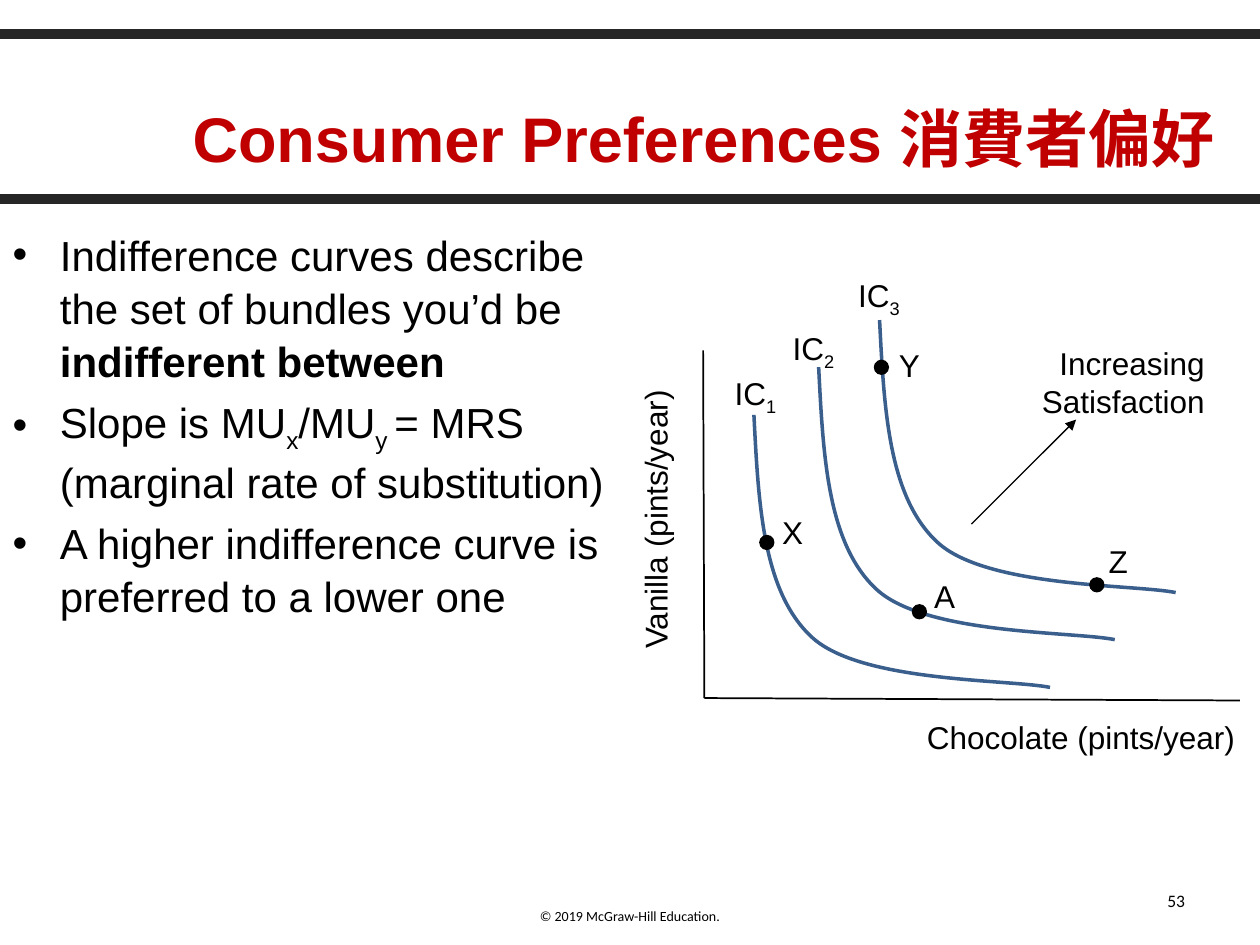
from pptx import Presentation
from pptx.dml.color import RGBColor
from pptx.enum import shapes, text
from pptx.oxml.ns import qn
from pptx.util import Pt
from lxml import etree

BLACK = RGBColor(0x00, 0x00, 0x00)
BAR = RGBColor(0x26, 0x26, 0x26)
RED = RGBColor(0xC0, 0x00, 0x00)
CURVE = RGBColor(0x3A, 0x5F, 0x8C)

LEFT, CENTER, RIGHT = text.PP_ALIGN.LEFT, text.PP_ALIGN.CENTER, text.PP_ALIGN.RIGHT
TOP, MIDDLE = text.MSO_ANCHOR.TOP, text.MSO_ANCHOR.MIDDLE
LABEL = {"name": "Arial", "size": Pt(18)}
SMALL = {"name": "Calibri", "size": Pt(8)}
NUMBER = {"name": "Calibri", "size": Pt(10)}
BODY = {"name": "Arial", "size": Pt(24)}
TITLE = {"name": "Arial", "size": Pt(36), "bold": True}

# Offsets of the Bezier points from a curve's upper end
CURVE_POINTS = [(0, 0), (2.6, 50.7), (5, 101.1), (33.1, 127),
                (61.2, 153), (145.8, 151), (169.2, 155.7)]
CURVE_STARTS = [(502.6, 182.9), (467.8, 209.8), (430.8, 237.1)]

BULLETS = [
    [("Indifference curves describe the set of bundles you’d be ", ""),
     ("indifferent between", "bold")],
    [("Slope is MU", ""), ("x", "sub"), ("/MU", ""), ("y ", "sub"),
     ("= MRS (marginal rate of substitution)", "")],
    [("A higher indifference curve is preferred to a lower one", "")],
]

# Left, top, width, height, runs
LABELS = [
    (475.2, 406.8, 237.6, 28.8, [("Chocolate (pints/year)", "")]),
    (283.7, 154.1, 237.6, 28.8, [("IC", ""), ("3", "sub")]),
    (246.2, 184.3, 237.6, 28.8, [("IC", ""), ("2", "sub")]),
    (213.1, 210.2, 237.6, 28.8, [("IC", ""), ("1", "sub")]),
    (551.5, 193, 144, 51.1, [("Increasing Satisfaction", "")]),
    (499, 194.4, 33.8, 28.8, [("Y", "")]),
    (617.8, 306, 33.8, 28.8, [("Z", "")]),
    (519.1, 326.2, 33.8, 28.8, [("A", "")]),
    (439.9, 289.4, 23.8, 28.8, [("X", "")]),
]
DOTS = [(622.8, 330.2), (521.4, 345.6), (499.7, 205.9), (434.2, 306)]


def write_runs(p, runs, font, color=BLACK):
    """Fill a paragraph with (wording, style) runs; style is "", "bold" or "sub"."""
    for wording, style in runs:
        r = p.add_run()
        r.text = wording
        for name, value in font.items():
            setattr(r.font, name, value)
        r.font.color.rgb = color
        if style == "bold":
            r.font.bold = True
        elif style == "sub":
            r.font._element.set("baseline", "-25000")


def place(sp, left, top, width, height):
    sp.left, sp.top, sp.width, sp.height = map(Pt, (left, top, width, height))


def fill_title(sp):
    place(sp, 84.2, 21.6, 635.8, 113.8)
    tf = sp.text_frame
    tf.auto_size = text.MSO_AUTO_SIZE.NONE
    tf.vertical_anchor = MIDDLE
    p = tf.paragraphs[0]
    p.alignment = CENTER
    write_runs(p, [("Consumer Preferences 消費者偏好", "")], TITLE, RED)


def fill_body(sp):
    place(sp, 0, 126, 374.4, 356.4)
    tf = sp.text_frame
    tf.auto_size = text.MSO_AUTO_SIZE.NONE
    for i, runs in enumerate(BULLETS):
        p = tf.add_paragraph() if i else tf.paragraphs[0]
        p.space_before = Pt(4.8 if i else 0)
        p.line_spacing = 1.05
        write_runs(p, runs, BODY)


def add_label(s, left, top, width, height, runs, font=LABEL, align=RIGHT, anchor=TOP):
    sp = s.shapes.add_textbox(*map(Pt, (left, top, width, height)))
    tf = sp.text_frame
    tf.word_wrap = True
    tf.vertical_anchor = anchor
    p = tf.paragraphs[0]
    p.alignment = align
    write_runs(p, runs, font)
    return sp


def add_line(s, x1, y1, x2, y2, color=BLACK, width=1, arrow=False):
    line = s.shapes.add_connector(shapes.MSO_CONNECTOR.STRAIGHT,
                                  *map(Pt, (x1, y1, x2, y2)))
    line.line.color.rgb = color
    line.line.width = Pt(width)
    if arrow:
        etree.SubElement(line.line._get_or_add_ln(), qn("a:tailEnd"), type="triangle")
    etree.SubElement(line._element.spPr, qn("a:effectLst"))


def add_curve(s, x, y):
    """Draw an indifference curve as two Bezier pieces from its upper end."""
    points = [(Pt(x + dx), Pt(y + dy)) for dx, dy in CURVE_POINTS]
    builder = s.shapes.build_freeform(*points[0])
    builder.add_line_segments(points[1:], close=False)
    sp = builder.convert_to_shape()
    sp.shadow.inherit = False
    sp.fill.background()
    sp.line.color.rgb = CURVE
    sp.line.width = Pt(2)
    path = next(sp._element.iter(qn("a:path")))
    segments = path.findall(qn("a:lnTo"))
    for i in range(0, len(segments), 3):
        bezier = etree.SubElement(path, qn("a:cubicBezTo"))
        for segment in segments[i:i + 3]:
            bezier.append(segment[0])
            path.remove(segment)


def add_dot(s, left, top):
    sp = s.shapes.add_shape(shapes.MSO_SHAPE.OVAL, Pt(left), Pt(top), Pt(8), Pt(8))
    sp.shadow.inherit = False
    sp.fill.solid()
    sp.fill.fore_color.rgb = BLACK
    sp.line.color.rgb = BLACK
    sp.line.width = Pt(0.75)


def main():
    prs = Presentation()
    prs.slide_width, prs.slide_height = Pt(720), Pt(540)
    s = prs.slides.add_slide(prs.slide_layouts[1])
    for y in (113.8, 19.4):
        add_line(s, 0, y, 720, y, BAR, 5.5)
    fill_title(s.shapes.title)
    fill_body(s.placeholders[1])

    add_line(s, 401.8, 200.2, 402.5, 398.9)
    add_line(s, 402.5, 398.9, 708.5, 400.3)
    for start in CURVE_STARTS:
        add_curve(s, *start)
    add_line(s, 555.1, 299.5, 614.9, 239.8, width=0.75, arrow=True)
    for dot in DOTS:
        add_dot(s, *dot)
    for label in LABELS:
        add_label(s, *label)
    vanilla = add_label(s, 255.6, 320.4, 237.6, 28.8, [("Vanilla (pints/year)", "")])
    vanilla.rotation = 270

    add_label(s, 240, 514.8, 240, 25.2, [("© 2019 McGraw-Hill Education.", "")],
              SMALL, CENTER)
    add_label(s, 516.2, 500.4, 168, 28.8, [("53", "")], NUMBER, RIGHT, MIDDLE)
    prs.save("out.pptx")


if __name__ == "__main__":
    main()
